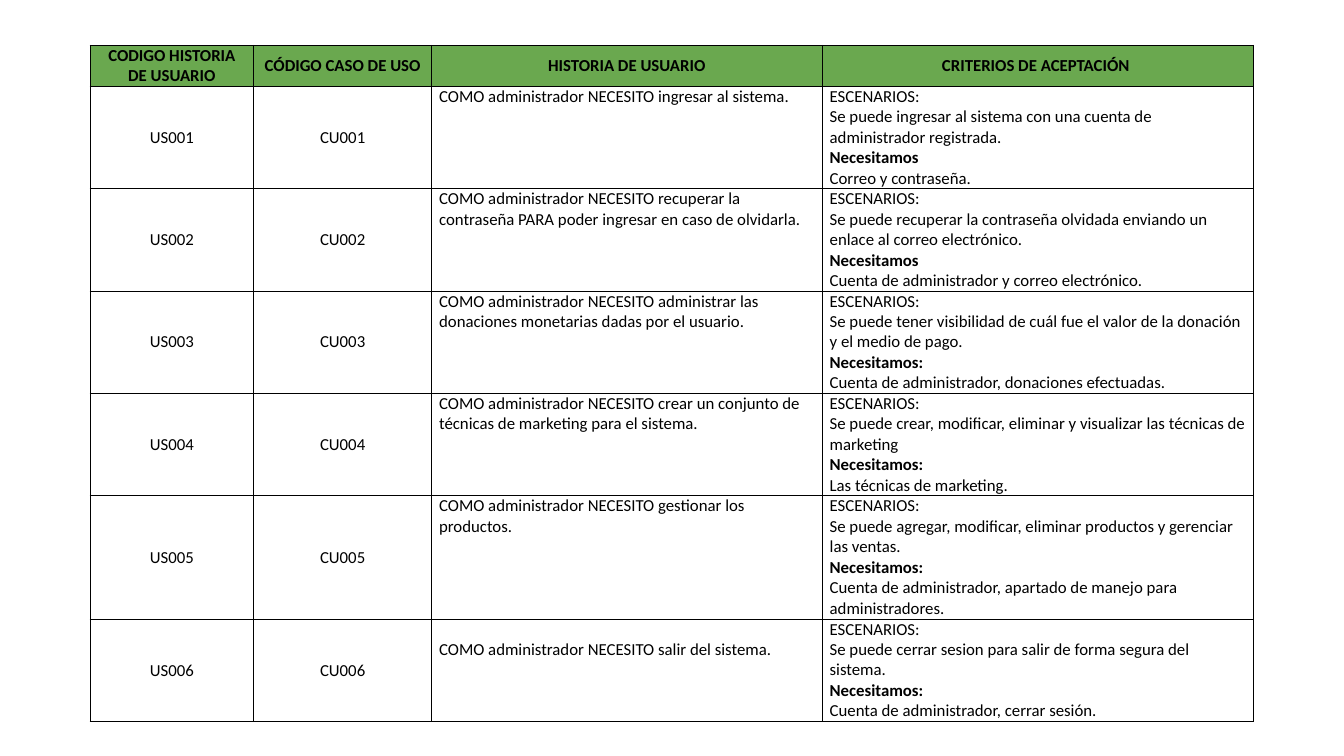
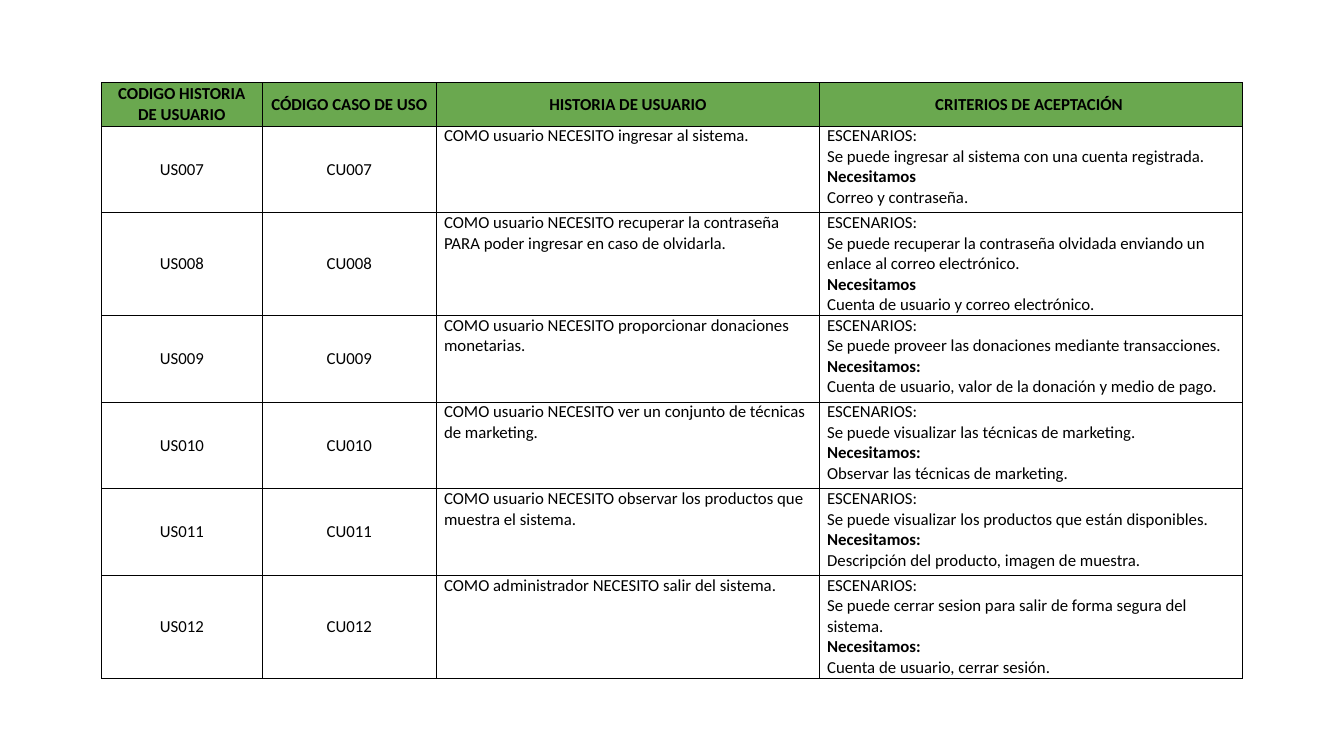
"""Build two slides of user stories with their acceptance criteria."""
import pptx
import pptx.dml.color
import pptx.enum.text
import pptx.oxml
import pptx.oxml.ns
import pptx.util

Pt = pptx.util.Pt
RGBColor = pptx.dml.color.RGBColor
PP_ALIGN = pptx.enum.text.PP_ALIGN
MSO_ANCHOR = pptx.enum.text.MSO_ANCHOR

GREEN = RGBColor(0x6A, 0xA8, 0x4F)
BLACK = RGBColor(0, 0, 0)
FONT, SIZE, LINE_HEIGHT = "Calibri", Pt(12), 14.6
BORDER = Pt(0.75)

HEADERS = ["CODIGO HISTORIA DE USUARIO", "CÓDIGO CASO DE USO",
           "HISTORIA DE USUARIO", "CRITERIOS DE ACEPTACIÓN "]
COLUMN_WIDTHS = [117, 127, 279, 308]
LOWERED_STORY = 6

ADMIN_STORIES = [
    ("COMO administrador NECESITO ingresar al sistema.",
     "Se puede ingresar al sistema con una cuenta de administrador registrada.",
     "Necesitamos", "Correo y contraseña."),
    ("COMO administrador NECESITO recuperar la contraseña PARA poder ingresar en caso de olvidarla.",
     "Se puede recuperar la contraseña olvidada enviando un enlace al correo electrónico.",
     "Necesitamos", "Cuenta de administrador y correo electrónico."),
    ("COMO administrador NECESITO administrar las donaciones monetarias dadas por el usuario.",
     "Se puede tener visibilidad de cuál fue el valor de la donación y el medio de pago.",
     "Necesitamos:", "Cuenta de administrador, donaciones efectuadas."),
    ("COMO administrador NECESITO crear un conjunto de técnicas de marketing para el sistema.",
     "Se puede crear, modificar, eliminar y visualizar las técnicas de marketing",
     "Necesitamos:", "Las técnicas de marketing."),
    ("COMO administrador NECESITO gestionar los productos.",
     "Se puede agregar, modificar, eliminar productos y gerenciar las ventas.",
     "Necesitamos:", "Cuenta de administrador, apartado de manejo para administradores."),
    ("COMO administrador NECESITO salir del sistema.",
     "Se puede cerrar sesion para salir de forma segura del sistema.",
     "Necesitamos:", "Cuenta de administrador, cerrar sesión."),
]
USER_STORIES = [
    ("COMO usuario NECESITO ingresar al sistema.",
     "Se puede ingresar al sistema con una cuenta registrada.",
     "Necesitamos", "Correo y contraseña."),
    ("COMO usuario NECESITO recuperar la contraseña PARA poder ingresar en caso de olvidarla.",
     "Se puede recuperar la contraseña olvidada enviando un enlace al correo electrónico.",
     "Necesitamos", "Cuenta de usuario y correo electrónico."),
    ("COMO usuario NECESITO proporcionar donaciones monetarias.",
     "Se puede proveer las donaciones mediante transacciones.",
     "Necesitamos:", "Cuenta de usuario, valor de la donación y medio de pago."),
    ("COMO usuario NECESITO ver un conjunto de técnicas de marketing.",
     "Se puede visualizar las técnicas de marketing.",
     "Necesitamos:", "Observar las técnicas de marketing."),
    ("COMO usuario NECESITO observar los productos que muestra el sistema.",
     "Se puede visualizar los productos que están disponibles.",
     "Necesitamos:", "Descripción del producto, imagen de muestra."),
    ("COMO administrador NECESITO salir del sistema.",
     "Se puede cerrar sesion para salir de forma segura del sistema.",
     "Necesitamos:", "Cuenta de usuario, cerrar sesión."),
]
SLIDES = [
    {"left": 64.3, "top": 32.3, "width": 831, "first": 1, "stories": ADMIN_STORIES,
     "heights": [29, 73, 73, 73, 73, 88, 73]},
    {"left": 72.5, "top": 59, "width": 815, "first": 7, "stories": USER_STORIES,
     "heights": [31, 62, 73, 62, 62, 62, 73]},
]


def add_borders(cell):
    tc_pr = cell._tc.get_or_add_tcPr()
    for side in "LRTB":
        tc_pr.append(pptx.oxml.parse_xml(
            f'<a:ln{side} {pptx.oxml.ns.nsdecls("a")} w="{BORDER}">'
            f'<a:solidFill><a:srgbClr val="{BLACK}"/></a:solidFill></a:ln{side}>'))


def fill_cell(cell, lines, centred=False, header=False):
    cell.margin_left = cell.margin_right = Pt(5.4)
    cell.margin_top = cell.margin_bottom = 0
    cell.vertical_anchor = MSO_ANCHOR.MIDDLE if centred else MSO_ANCHOR.TOP
    add_borders(cell)
    if header:
        cell.fill.solid()
        cell.fill.fore_color.rgb = GREEN
    else:
        cell.fill.background()
    tf = cell.text_frame
    tf.text = "\n".join(lines)
    for p in tf.paragraphs:
        p.alignment = PP_ALIGN.CENTER if centred else PP_ALIGN.LEFT
        p.font.name, p.font.size = FONT, SIZE
        p.font.color.rgb = BLACK
        p.font.bold = header or p.text.startswith("Necesitamos")


def add_story_table(s, left, top, width, first, stories, heights):
    scale = width / sum(COLUMN_WIDTHS)
    table = s.shapes.add_table(len(heights), len(HEADERS), Pt(left), Pt(top),
                               Pt(width), Pt(sum(heights))).table
    table.horz_banding = False
    for column, column_width in zip(table.columns, COLUMN_WIDTHS):
        column.width = Pt(column_width * scale)
    for row, height in zip(table.rows, heights):
        row.height = Pt(height)
    for col, text in enumerate(HEADERS):
        fill_cell(table.cell(0, col), [text], centred=True, header=True)
    for row, (story, *criteria) in enumerate(stories, 1):
        number = first + row - 1
        contents = [[f"US{number:03}"], [f"CU{number:03}"], [story],
                    ["ESCENARIOS:", *criteria]]
        for col, lines in enumerate(contents):
            fill_cell(table.cell(row, col), lines, centred=col < 2)
        if number == LOWERED_STORY:
            table.cell(row, 2).margin_top = Pt(LINE_HEIGHT)


def main():
    prs = pptx.Presentation()
    prs.slide_width, prs.slide_height = Pt(960), Pt(540)
    for content in SLIDES:
        s = prs.slides.add_slide(prs.slide_layouts[6])
        add_story_table(s, **content)
    prs.save("out.pptx")


if __name__ == "__main__":
    main()
